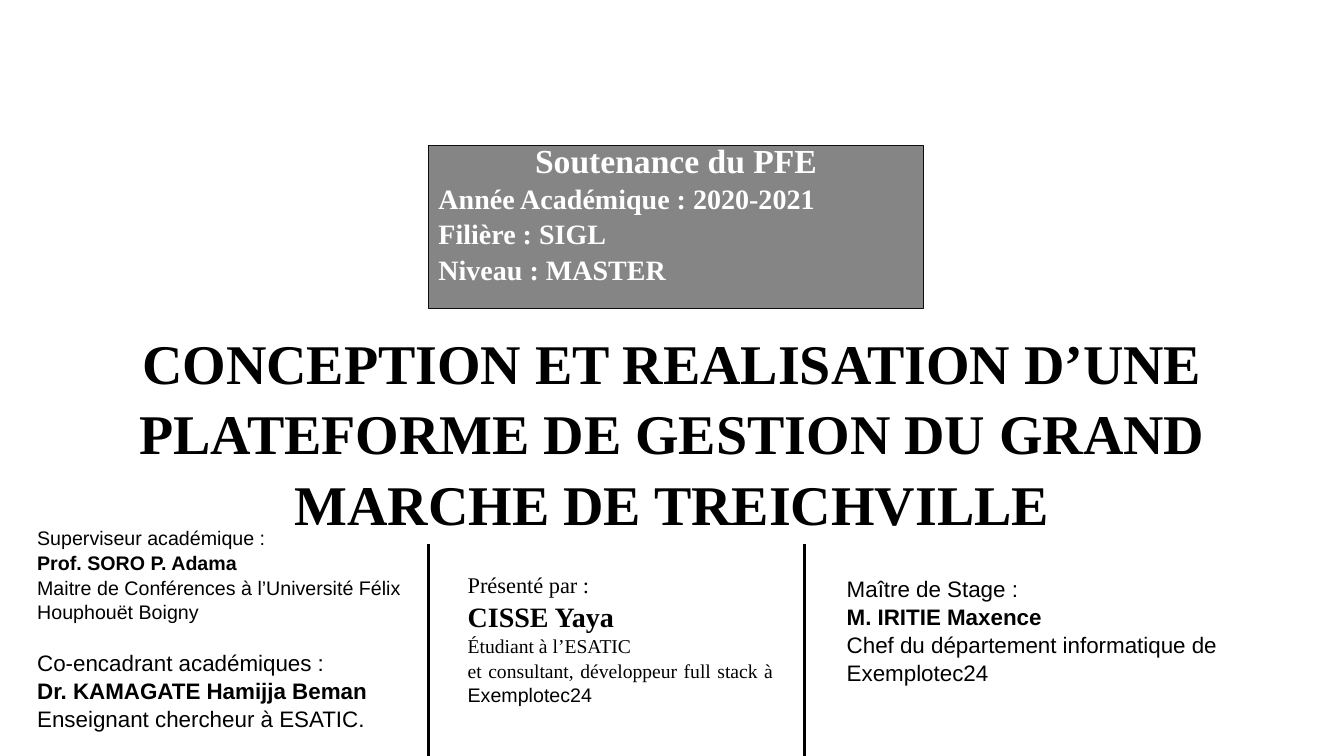
from pptx import Presentation
from pptx.dml.color import RGBColor
from pptx.enum import shapes, text
from pptx.oxml import ns
from pptx.util import Inches, Pt
from lxml import etree

BLACK = RGBColor(0, 0, 0)
WHITE = RGBColor(255, 255, 255)
DARK = RGBColor(0x0D, 0x0D, 0x0D)
SERIF, SANS = "Times New Roman", "Arial"
LEFT, MID, JUST = text.PP_ALIGN.LEFT, text.PP_ALIGN.CENTER, text.PP_ALIGN.JUSTIFY
LEAD = 1.05

TITLE = [([("CONCEPTION ET REALISATION D’UNE PLATEFORME DE GESTION DU GRAND MARCHE DE TREICHVILLE", SERIF)], 40, True, MID, 0)]
EVENT = [
    ([("Soutenance du PFE", SERIF)], 24, True, MID, 0),
    ([("Année Académique : 2020-2021", SERIF)], 20, True, JUST, 0),
    ([("Filière : SIGL", SERIF)], 20, True, JUST, 0),
    ([("Niveau : MASTER", SERIF)], 20, True, JUST, 0),
]
TUTORS = [
    ([("Superviseur académique\u00a0:", SANS)], 14, False, LEFT, 0),
    ([("Prof. SORO P. Adama", SANS)], 14, True, LEFT, 0),
    ([("Maitre de Conférences à l’Université Félix Houphouët Boigny", SANS)], 14, False, LEFT, 0),
    ([("Co-encadrant académiques :", SANS)], 16, False, LEFT, 17),
    ([("Dr. KAMAGATE Hamijja Beman", SANS)], 16, True, LEFT, 0),
    ([("Enseignant chercheur à ESATIC.", SANS)], 16, False, LEFT, 0),
]
AUTHOR = [
    ([("Présenté par :", SERIF)], 16, False, JUST, 0),
    ([("CISSE Yaya", SERIF)], 20, True, JUST, 0),
    ([("Étudiant à l’ESATIC", SERIF)], 14, False, JUST, 0),
    ([("et consultant, développeur full stack à ", SERIF), ("Exemplotec24", SANS)], 14, False, JUST, 0),
]
MENTOR = [
    ([("Maître de Stage\u00a0:", SANS)], 16, False, LEFT, 0),
    ([("M. IRITIE Maxence", SANS)], 16, True, LEFT, 0),
    ([("Chef du département informatique de Exemplotec24", SANS)], 16, False, LEFT, 0),
]
PANELS = [
    (TUTORS, (0.27, 5.16, 3.98, 2.15)),
    (MENTOR, (8.3, 5.64, 4.6, 1.68)),
    (AUTHOR, (4.54, 5.6, 3.23, 1.63)),
]
RULES = [4.25, 7.98]


def write(frame, lines, color, anchor):
    frame.word_wrap = True
    frame.auto_size = text.MSO_AUTO_SIZE.NONE
    frame.vertical_anchor = anchor
    for i, (parts, size, bold, align, gap) in enumerate(lines):
        para = frame.paragraphs[0] if i == 0 else frame.add_paragraph()
        para.alignment = align
        para.line_spacing = LEAD
        para.space_before = Pt(gap)
        for words, face in parts:
            run = para.add_run()
            run.text = words
            run.font.name = face
            run.font.size = Pt(size)
            run.font.bold = bold
            run.font.color.rgb = color


def place(box):
    return [Inches(n) for n in box]


deck = Presentation()
deck.slide_width, deck.slide_height = Inches(13.33), Inches(7.5)
slide = deck.slides.add_slide(deck.slide_layouts[5])

title = slide.shapes.title
title.left, title.top, title.width, title.height = place((0.43, 3.05, 12.47, 2.45))
write(title.text_frame, TITLE, BLACK, text.MSO_ANCHOR.MIDDLE)

event = slide.shapes.add_shape(shapes.MSO_SHAPE.RECTANGLE, *place((4.25, 1.44, 4.91, 1.62)))
event.shadow.inherit = False
event.fill.solid()
event.fill.fore_color.rgb = DARK
tint = event.fill._xPr.find(ns.qn("a:solidFill"))[0]
etree.SubElement(tint, ns.qn("a:alpha")).set("val", "50000")
event.line.color.rgb = DARK
event.line.width = Pt(0.75)
event.text_frame.margin_top = 0
event.text_frame.margin_bottom = Inches(0.3)
write(event.text_frame, EVENT, WHITE, text.MSO_ANCHOR.MIDDLE)

for lines, box in PANELS:
    panel = slide.shapes.add_textbox(*place(box))
    write(panel.text_frame, lines, BLACK, text.MSO_ANCHOR.TOP)

for x in RULES:
    rule = slide.shapes.add_connector(shapes.MSO_CONNECTOR.STRAIGHT, *place((x, 5.4, x, 7.5)))
    rule.line.color.rgb = BLACK
    rule.line.width = Pt(2.25)
    etree.SubElement(rule._element.spPr, ns.qn("a:effectLst"))

deck.save("out.pptx")
